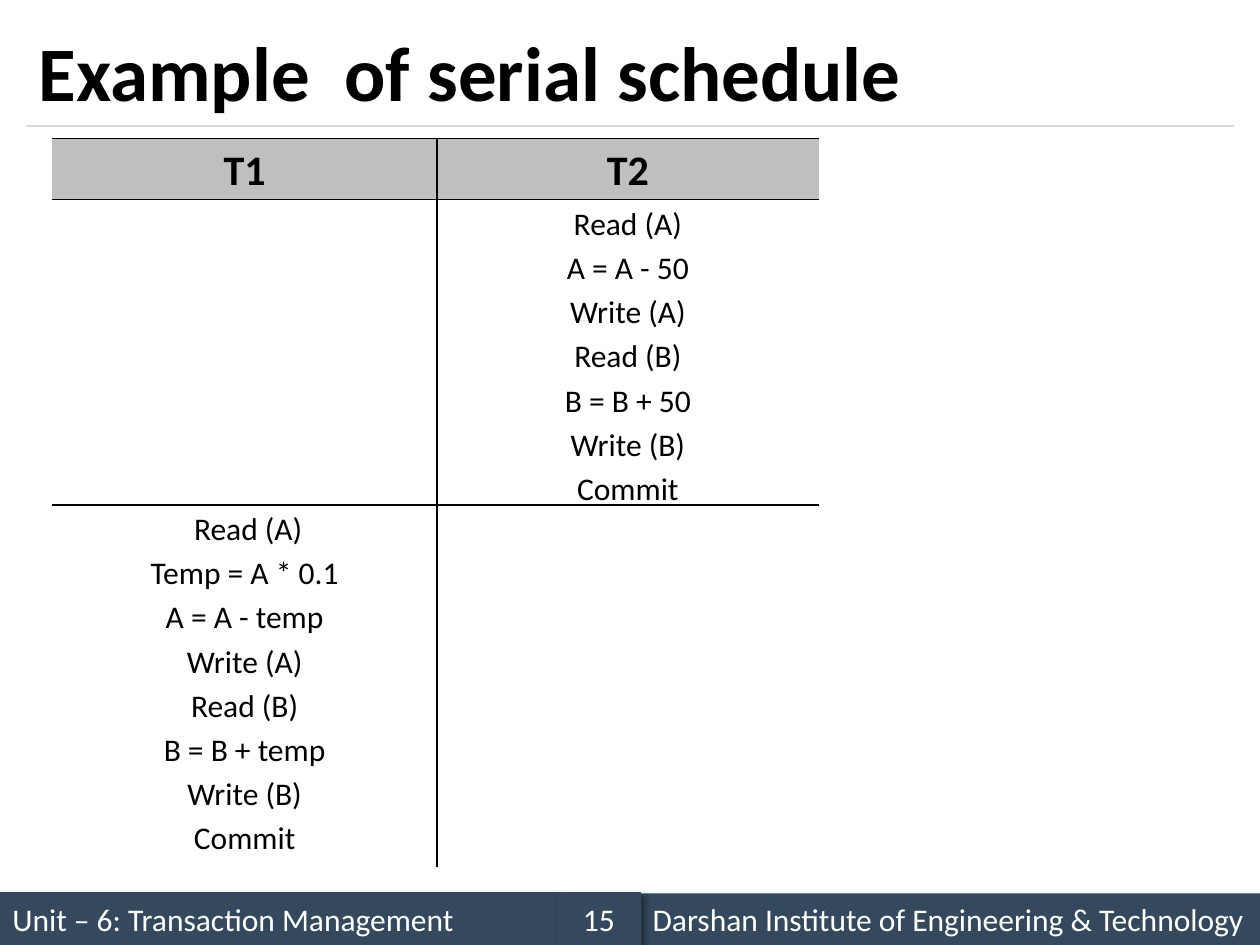
from lxml import etree
from pptx import Presentation
from pptx.dml.color import RGBColor
from pptx.enum import shapes, text
from pptx.oxml import parse_xml
from pptx.oxml.ns import nsdecls, qn
from pptx.util import Pt

CENTER, LEFT = text.PP_ALIGN.CENTER, text.PP_ALIGN.LEFT


def color(hex_code):
    return RGBColor.from_string(hex_code)


def style(paragraph, size, hex_code, align=LEFT, bold=False):
    paragraph.alignment = align
    formats = {"name": "Calibri", "size": Pt(size), "bold": bold}
    for key, value in formats.items():
        setattr(paragraph.font, key, value)
    paragraph.font.color.rgb = color(hex_code)


deck = Presentation()
deck.slide_width, deck.slide_height = Pt(720), Pt(540)
slide = deck.slides.add_slide(deck.slide_layouts[6])

# Footer bands, each with a soft shadow
footers = [
    (0, 509.8, 318.2, "Unit – 6: Transaction Management", LEFT),
    (365.8, 510.5, 354.2, "Darshan Institute of Engineering & Technology", LEFT),
    (318.2, 509.8, 48, "15", CENTER),
]
for left, top, width, label, align in footers:
    band = slide.shapes.add_shape(shapes.MSO_SHAPE.RECTANGLE,
                                  Pt(left), Pt(top), Pt(width), Pt(540 - top))
    band.fill.solid()
    band.fill.fore_color.rgb = color("34495E")
    band.line.fill.background()
    band.shadow.inherit = False
    band._element.spPr.find(qn("a:effectLst")).append(parse_xml(
        f'<a:outerShdw {nsdecls("a")} blurRad="{Pt(4)}" dist="{Pt(3)}" dir="2700000" '
        'algn="tl" rotWithShape="0"><a:srgbClr val="000000"><a:alpha val="40000"/>'
        '</a:srgbClr></a:outerShdw>'))
    band.text_frame.word_wrap = True
    band.text_frame.vertical_anchor = text.MSO_ANCHOR.MIDDLE
    band.text_frame.text = label
    style(band.text_frame.paragraphs[0], 18, "FFFFFF", align)

# Rule under the title
rule = slide.shapes.add_connector(shapes.MSO_CONNECTOR.STRAIGHT,
                                  Pt(15), Pt(72), Pt(705), Pt(72))
rule.line.color.rgb = color("D9D9D9")
rule.line.width = Pt(0.75)
etree.SubElement(rule._element.spPr, qn("a:effectLst"))

# Title
title = slide.shapes.add_textbox(Pt(15), Pt(9), Pt(690), Pt(63)).text_frame
title.word_wrap = True
title.vertical_anchor = text.MSO_ANCHOR.MIDDLE
title.text = "Example  of serial schedule"
style(title.paragraphs[0], 44, "000000", bold=True)

# Schedule: T2 runs to its commit, then T1
t1_steps = [" Read (A)", "Temp = A * 0.1", "A = A - temp", "Write (A)",
            "Read (B)", "B = B + temp", "Write (B)", "Commit"]
t2_steps = ["Read (A)", "A = A - 50", "Write (A)", "Read (B)",
            "B = B + 50", "Write (B)", "Commit"]
rows = [(["T1"], ["T2"]), ([], t2_steps), (t1_steps, [])]
row_heights = [35, 174.5, 207]
column_widths = [219.6, 218.4]

frame = slide.shapes.add_table(3, 2, Pt(30), Pt(79), Pt(438), Pt(sum(row_heights)))
schedule = frame.table
schedule.first_row = schedule.horz_banding = False
# "No Style, No Grid"
schedule._tbl.tblPr.find(qn("a:tableStyleId")).text = "{2D5ABB26-0587-4C30-8999-92F81FD0307C}"
for column, width in zip(schedule.columns, column_widths):
    column.width = Pt(width)

for r, steps_by_column in enumerate(rows):
    schedule.rows[r].height = Pt(row_heights[r])
    for c, steps in enumerate(steps_by_column):
        cell = schedule.cell(r, c)
        margins = {"margin_left": 5, "margin_right": 5, "margin_top": 0, "margin_bottom": 0}
        for side, value in margins.items():
            setattr(cell, side, Pt(value))
        cell.text = "\n".join(steps)
        for paragraph in cell.text_frame.paragraphs:
            paragraph.line_spacing = 1.15
            properties = paragraph._p.get_or_add_pPr()
            properties.set("marL", str(Pt(36)))
            properties.set("indent", str(Pt(-36)))
            style(paragraph, 24 if r == 0 else 18, "000000", CENTER, r == 0)

        # Grey header; lines around the header and between the columns
        if r == 0:
            cell.fill.solid()
            cell.fill.fore_color.rgb = color("BFBFBF")
        else:
            cell.fill.background()
        edges = ["lnR" if c == 0 else "lnL"]
        edges += {0: ["lnT", "lnB"], 1: ["lnT"], 2: []}[r]
        for position, edge in enumerate(edges):
            cell._tc.get_or_add_tcPr().insert(position, parse_xml(
                f'<a:{edge} {nsdecls("a")} w="{Pt(1)}"><a:solidFill>'
                f'<a:srgbClr val="000000"/></a:solidFill></a:{edge}>'))

deck.save("out.pptx")
